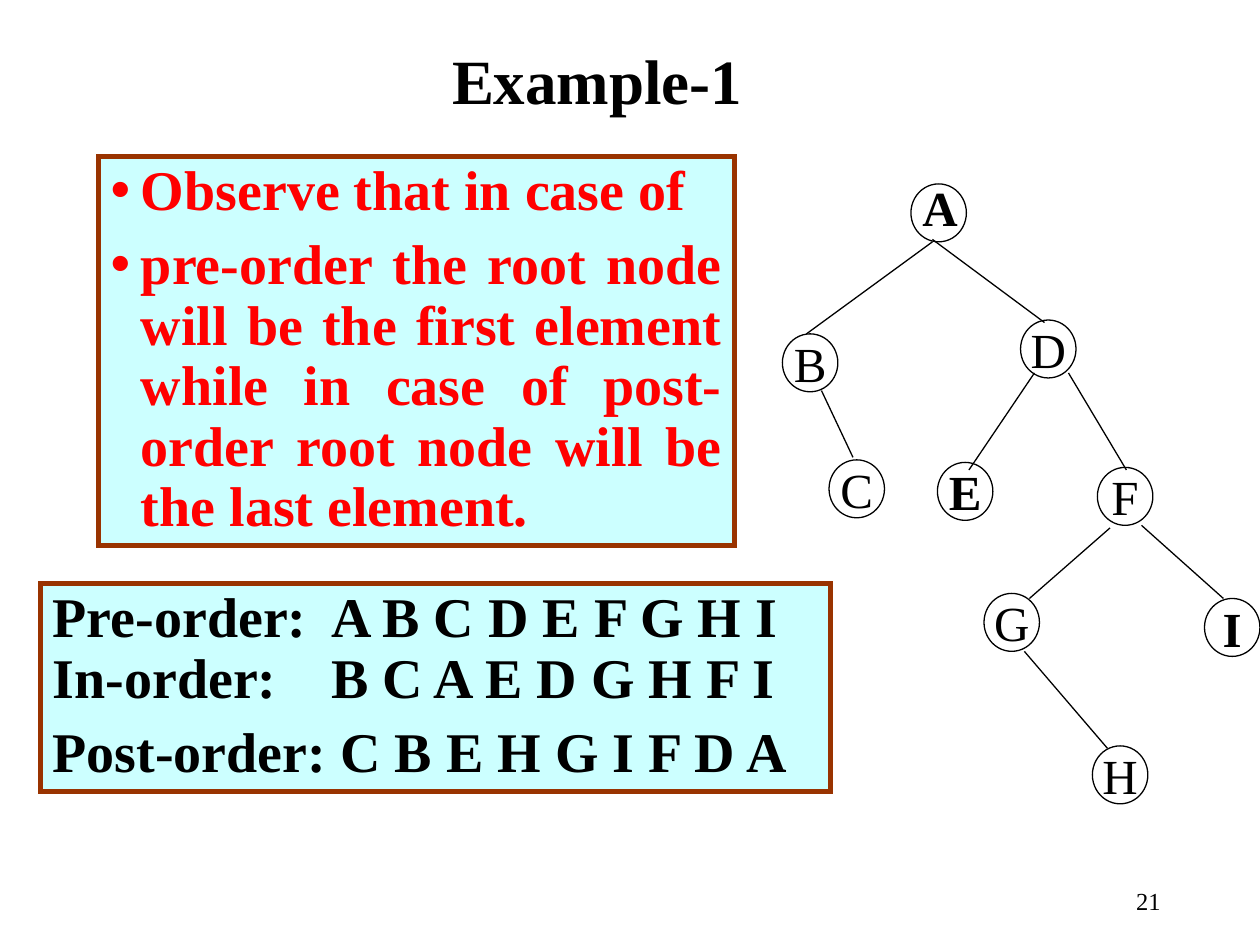
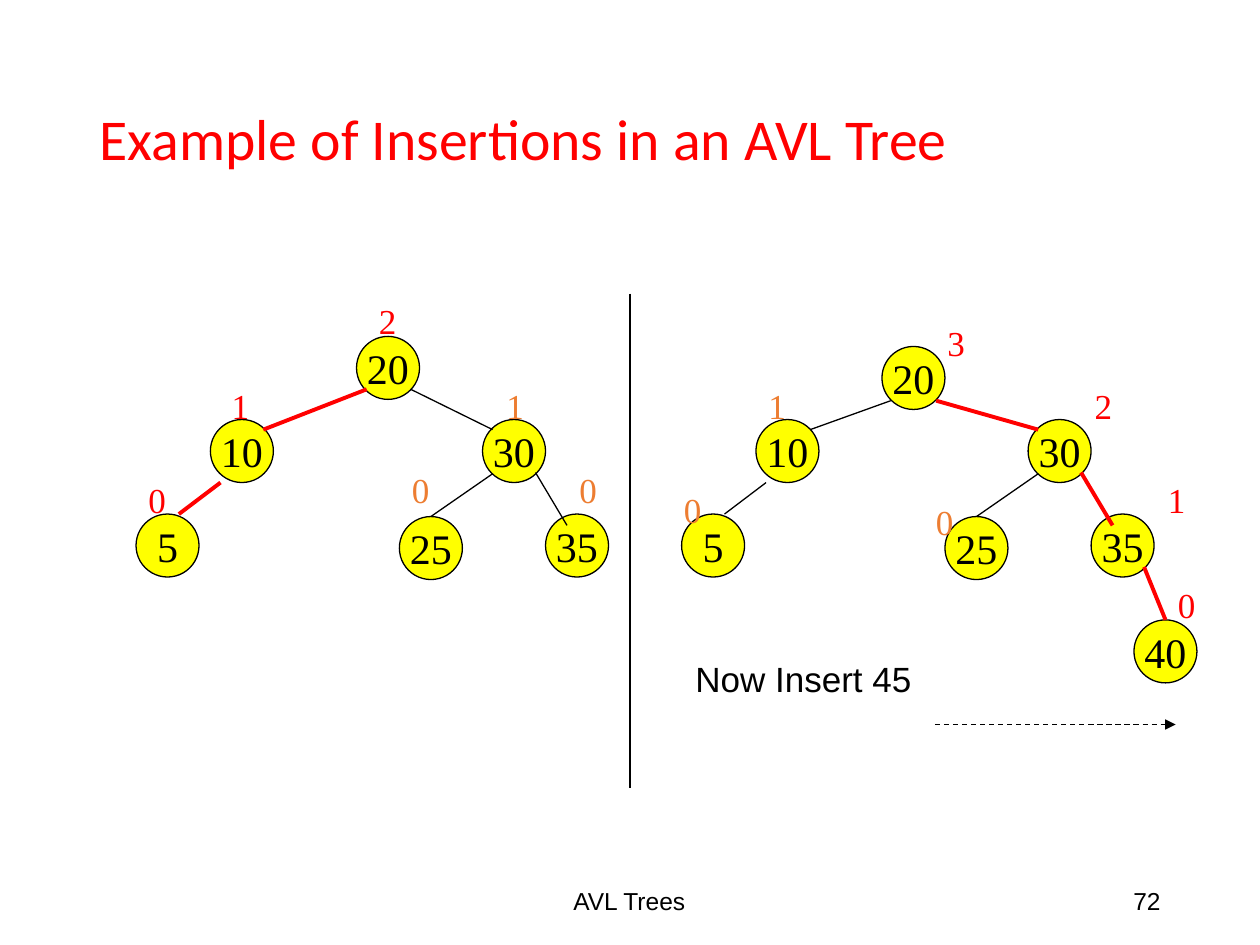
import pptx
import pptx.util
import pptx.dml.color
import pptx.enum.dml
import pptx.enum.shapes
import pptx.enum.text
import pptx.oxml.ns
import lxml.etree

Inches, Pt = pptx.util.Inches, pptx.util.Pt
RGB = pptx.dml.color.RGBColor
ALIGN = pptx.enum.text.PP_ALIGN
ANCHOR = pptx.enum.text.MSO_ANCHOR
SHAPE = pptx.enum.shapes.MSO_SHAPE
qn = pptx.oxml.ns.qn

# Colours and fonts
BLACK = RGB(0x00, 0x00, 0x00)
RED = RGB(0xFF, 0x00, 0x00)
ORANGE = RGB(0xED, 0x7D, 0x31)
YELLOW = RGB(0xFF, 0xFF, 0x00)
CYAN = RGB(0xCC, 0xFF, 0xFF)
BROWN = RGB(0x99, 0x33, 0x00)
SERIF, SANS, HEAD = "Times New Roman", "Arial", "Calibri"

# Text formats
BIG = {"name": SERIF, "size": Pt(32), "bold": True}
LETTER = {"name": SERIF, "size": Pt(28)}
KEY = {"name": SERIF, "size": Pt(24)}
LEVEL = {"name": SERIF, "size": Pt(20)}
CALL = {"name": SANS, "size": Pt(20)}
FOOT = {"name": SANS, "size": Pt(14)}
PAGE = {"name": SERIF, "size": Pt(14)}
TIGHT = {"line_spacing": 0.9}
GAP = Pt(7.5)

# Slide 1: letter tree, notes and walks
LETTERS = {
    "A": (7.23, 1.46), "B": (6.21, 2.65), "C": (6.58, 3.65),
    "D": (8.1, 2.54), "E": (7.44, 3.67), "F": (8.71, 3.71),
    "G": (7.81, 4.71), "H": (8.67, 5.92), "I": (9.56, 4.75),
}
STRONG = "AEI"
LINKS = [
    (7.4, 1.92, 6.4, 2.65), (7.4, 1.9, 8.29, 2.56),
    (6.52, 3.1, 6.77, 3.63), (8.21, 2.96, 7.69, 3.73),
    (8.48, 2.96, 8.94, 3.73), (8.81, 4.19, 8.17, 4.75),
    (9.06, 4.17, 9.71, 4.75), (8.13, 5.17, 8.79, 5.94),
]
NOTES = [
    "Observe that in case of",
    "pre-order the root node will be the first element while in case of "
    "post-order root node will be the last element.",
]
WALKS = [
    "Pre-order:\tA B C D E F G H I\vIn-order:\tB C A E D G H F I",
    "Post-order: C B E H G I F D A",
]

# Slide 2: both trees share their lower part, set off by dx
LOWER = {"10": (1.67, 3.33), "30": (3.83, 3.33), "25": (3.17, 4.1),
         "35": (4.33, 4.08), "5": (1.08, 4.08)}
ARMS = {"25": (3.91, 3.76, 3.42, 4.1), "35": (4.25, 3.75, 4.5, 4.17),
        "5": (1.75, 3.83, 1.42, 4.08)}
TREES = [
    {"dx": 0, "path": {"10", "5"},
     "nodes": {"20": (2.83, 2.67)},
     "arms": {"10": (2.91, 3.09, 2.09, 3.41), "30": (3.26, 3.09, 3.91, 3.41)},
     "levels": [("2", 2.91, 2.33, RED), ("1", 1.74, 3, RED),
                ("0", 1.08, 3.75, RED), ("1", 3.92, 3, ORANGE),
                ("0", 3.17, 3.67, ORANGE), ("0", 4.5, 3.67, ORANGE)]},
    {"dx": 4.33, "path": {"30", "35", "40"},
     "nodes": {"20": (7, 2.75), "40": (9, 4.92)},
     "arms": {"10": (7.07, 3.18, 6.43, 3.41), "30": (7.43, 3.18, 8.24, 3.41),
              "40": (9.08, 4.5, 9.25, 4.92)},
     "levels": [("3", 7.42, 2.5, RED), ("2", 8.59, 3, RED),
                ("1", 9.17, 3.75, RED), ("0", 9.25, 4.58, RED),
                ("1", 6, 3, ORANGE), ("0", 5.33, 3.83, ORANGE),
                ("0", 7.33, 3.92, ORANGE)]},
]


def apply(thing, form):
    for name, value in form.items():
        setattr(thing, name, value)


def write(shape, lines, font, color=BLACK, para=None, **frame):
    """Fill a shape with paragraphs in one format."""
    text = shape.text_frame
    apply(text, {"word_wrap": True, "margin_left": Inches(0.1),
                 "margin_right": Inches(0.1), "margin_top": Inches(0.05),
                 "margin_bottom": Inches(0.05),
                 "auto_size": pptx.enum.text.MSO_AUTO_SIZE.NONE, **frame})
    for i, line in enumerate(lines):
        item = text.add_paragraph() if i else text.paragraphs[0]
        item.text = line
        apply(item, {"alignment": ALIGN.LEFT, **(para or {})})
        if i:
            item.space_before = GAP
        for run in item.runs:
            apply(run.font, font)
            run.font.color.rgb = color
    return text.paragraphs


def label(slide, box, line, font, color=BLACK, para=None, **frame):
    shape = slide.shapes.add_textbox(*map(Inches, box))
    write(shape, [line], font, color, para, **frame)


def block(slide, kind, box, fill, edge, width):
    """Preset shape with square line corners."""
    shape = slide.shapes.add_shape(kind, *map(Inches, box))
    shape.shadow.inherit = False
    if fill is None:
        shape.fill.background()
    else:
        shape.fill.solid()
        shape.fill.fore_color.rgb = fill
    shape.line.color.rgb = edge
    shape.line.width = Pt(width)
    lxml.etree.SubElement(shape.line._get_or_add_ln(), qn("a:miter"),
                          lim="800000")
    return shape


def node(slide, box, line, font, fill=None):
    shape = block(slide, SHAPE.OVAL, box, fill, BLACK, 0.75)
    if line:
        write(shape, [line], font, para={"alignment": ALIGN.CENTER},
              word_wrap=False, vertical_anchor=ANCHOR.MIDDLE)


def join(slide, ends, color=BLACK, width=0.75):
    line = slide.shapes.add_connector(
        pptx.enum.shapes.MSO_CONNECTOR.STRAIGHT, *map(Inches, ends))
    line.line.color.rgb = color
    line.line.width = Pt(width)
    lxml.etree.SubElement(line._element.spPr, qn("a:effectLst"))
    return line


def start(deck, title, box, font, color, para, **frame):
    """Add a slide with its title set in place."""
    slide = deck.slides.add_slide(deck.slide_layouts[5])
    head = slide.shapes.title
    apply(head, dict(zip(("left", "top", "width", "height"), map(Inches, box))))
    write(head, [title], font, color, para, **frame)
    return slide


def foot(slide, page, font, name=None):
    if name:
        label(slide, (3.31, 6.95, 3.37, 0.4), name, font,
              para={"alignment": ALIGN.CENTER}, vertical_anchor=ANCHOR.MIDDLE)
    label(slide, (7.06, 6.95, 2.25, 0.4), page, font,
          para={"alignment": ALIGN.RIGHT}, vertical_anchor=ANCHOR.MIDDLE)


def bullet(item):
    """Red round bullet with a hanging indent."""
    props = item._p.get_or_add_pPr()
    props.set("marL", str(Inches(0.24)))
    props.set("indent", str(-Inches(0.24)))
    color = lxml.etree.SubElement(props, qn("a:buClr"))
    lxml.etree.SubElement(color, qn("a:srgbClr"), val=str(RED))
    lxml.etree.SubElement(props, qn("a:buFont"), typeface=SANS)
    lxml.etree.SubElement(props, qn("a:buChar"), char="•")


def walks(deck):
    # The title box is wide enough for one line
    slide = start(deck, "Example-1", (3.24, 0.28, 3, 0.7),
                  {"name": SERIF, "size": Pt(36), "bold": True}, BLACK,
                  {"alignment": ALIGN.CENTER}, vertical_anchor=ANCHOR.TOP)
    foot(slide, "21", PAGE)

    # Tree; the root letter sits a little above its ring
    for name, (x, y) in LETTERS.items():
        font = {**LETTER, "bold": name in STRONG}
        node(slide, (x, y, 0.44, 0.46), "" if name == "A" else name, font)
    label(slide, (7.22, 1.36, 0.48, 0.57), "A", {**LETTER, "bold": True},
          para={"alignment": ALIGN.CENTER}, word_wrap=False)
    for ends in LINKS:
        join(slide, ends)

    # Walks, with one tab stop for the first two rows
    panel = block(slide, SHAPE.RECTANGLE, (0.32, 4.63, 6.27, 1.65),
                  CYAN, BROWN, 3)
    rows = write(panel, WALKS, BIG, para=TIGHT, vertical_anchor=ANCHOR.TOP)
    tabs = lxml.etree.SubElement(rows[0]._p.get_or_add_pPr(), qn("a:tabLst"))
    lxml.etree.SubElement(tabs, qn("a:tab"), pos=str(Inches(2.21)), algn="l")

    # Notes
    panel = block(slide, SHAPE.RECTANGLE, (0.78, 1.24, 5.05, 3.09),
                  CYAN, BROWN, 3)
    for item in write(panel, NOTES, BIG, RED,
                      {**TIGHT, "alignment": ALIGN.JUSTIFY},
                      vertical_anchor=ANCHOR.TOP):
        bullet(item)


def inserts(deck):
    slide = start(deck, "Example of Insertions in an AVL Tree",
                  (0.69, 0.4, 8.63, 1.45), {"name": HEAD, "size": Pt(33)},
                  RED, TIGHT, vertical_anchor=ANCHOR.MIDDLE)
    foot(slide, "72", FOOT, "AVL Trees")

    # Trees: nodes, then arms with the longest path in red, then heights
    for tree in TREES:
        dx = tree["dx"]
        low = {key: (x + dx, y) for key, (x, y) in LOWER.items()}
        for key, (x, y) in {**tree["nodes"], **low}.items():
            node(slide, (x, y, 0.5, 0.5), key, KEY, YELLOW)
        arms = {key: (a + dx, b, c + dx, d)
                for key, (a, b, c, d) in ARMS.items()}
        for key, ends in {**tree["arms"], **arms}.items():
            join(slide, ends, *((RED, 2.25) if key in tree["path"] else ()))
        for line, x, y, color in tree["levels"]:
            label(slide, (x, y, 0.34, 0.44), line, LEVEL, color)

    # Divider and next step
    join(slide, (5, 2.33, 5, 6.25))
    label(slide, (5.42, 5.17, 1.92, 0.44), "Now Insert 45", CALL)
    arrow = join(slide, (7.42, 5.75, 9.33, 5.75))
    arrow.line.dash_style = pptx.enum.dml.MSO_LINE.DASH
    lxml.etree.SubElement(arrow.line._get_or_add_ln(), qn("a:tailEnd"),
                          type="triangle")


def main():
    deck = pptx.Presentation()
    deck.slide_width, deck.slide_height = Inches(10), Inches(7.5)
    walks(deck)
    inserts(deck)
    deck.save("out.pptx")


if __name__ == "__main__":
    main()
